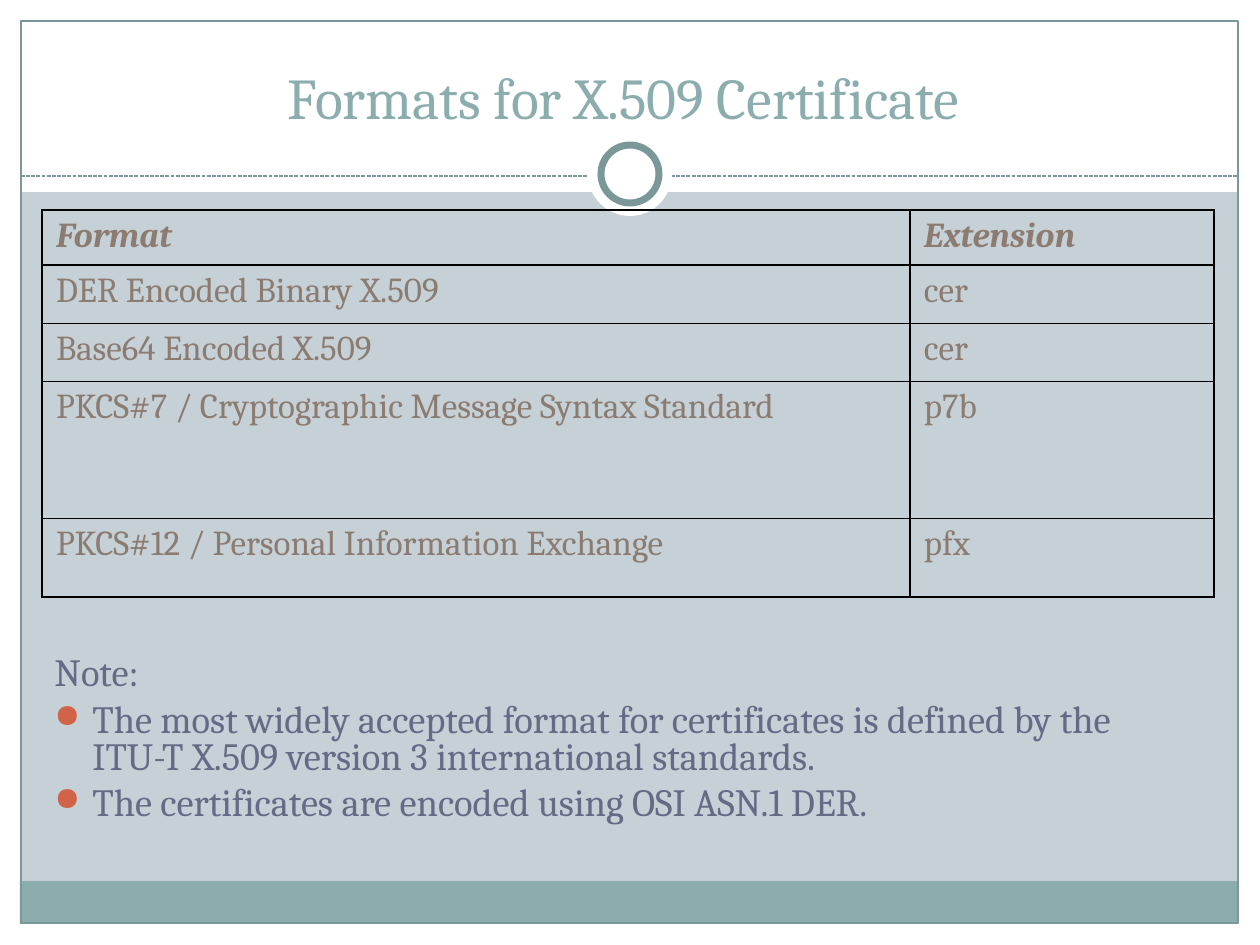
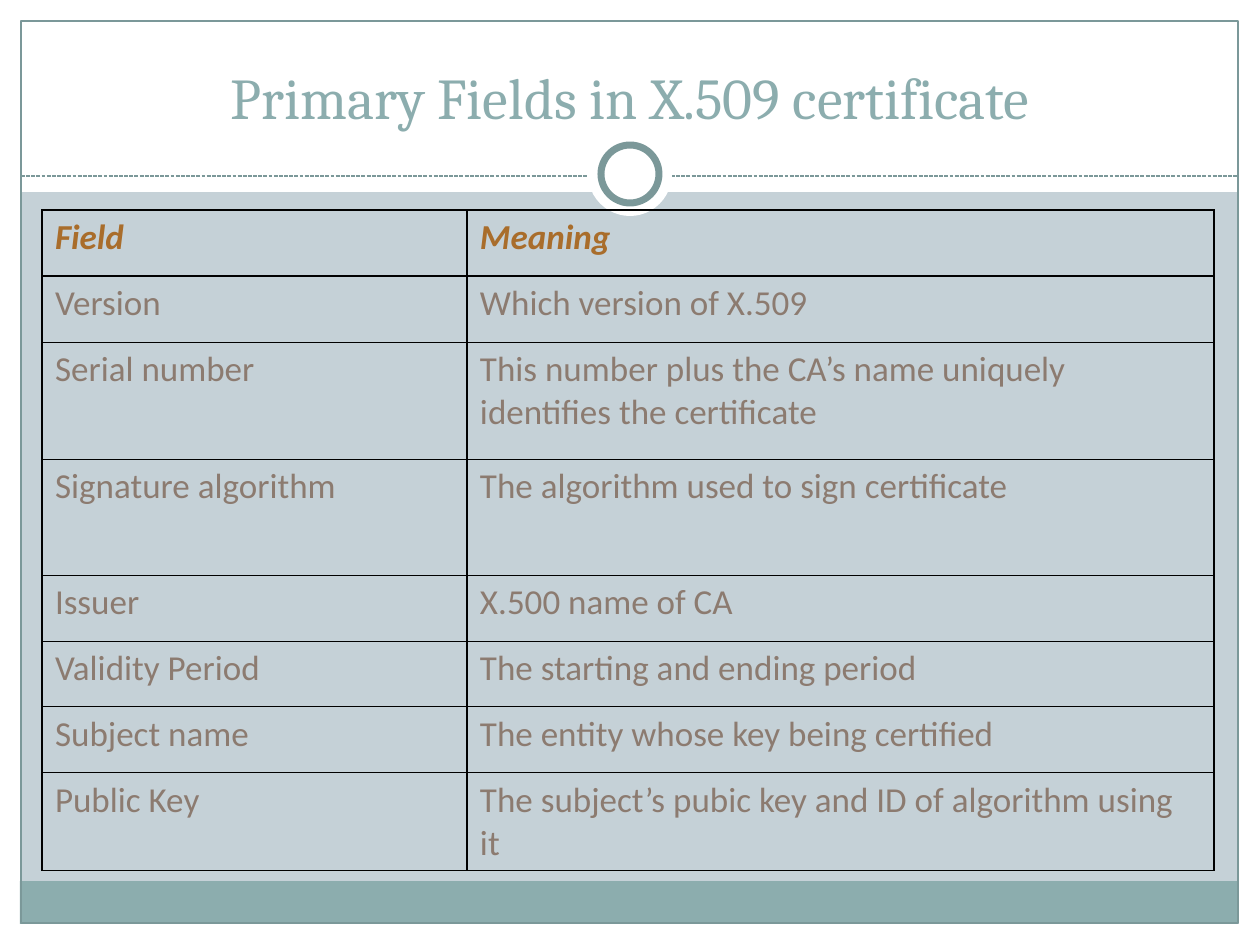
"""Build two slides on X.509 certificate formats and fields."""
from lxml.etree import SubElement
from pptx import Presentation
from pptx.dml.color import RGBColor
from pptx.enum.dml import MSO_LINE
from pptx.enum.shapes import MSO_CONNECTOR, MSO_SHAPE
from pptx.enum.text import MSO_ANCHOR, MSO_AUTO_SIZE, PP_ALIGN
from pptx.oxml.ns import qn
from pptx.util import Pt

PX = 914400 / 126
COLORS = {
    "background": "C5D1D7",
    "white": "FFFFFF",
    "teal": "8CADAE",
    "outline": "7B9899",
    "cell": "8C7B70",
    "field_header": "A96D2B",
    "note": "646B86",
    "bullet": "D16349",
    "border": "000000",
}


def px(*lengths):
    """Turn pixel lengths into EMU."""
    return [round(length * PX) for length in lengths]


def format_font(font, color, **values):
    """Set the colour and the given attributes of a font."""
    font.color.rgb = RGBColor.from_string(COLORS[color])
    for attribute, value in values.items():
        setattr(font, attribute, value)


prs = Presentation()
prs.slide_width, prs.slide_height = px(1260, 945)
layout = prs.slide_layouts[5]
layout.background.fill.solid()
layout.background.fill.fore_color.rgb = RGBColor.from_string(COLORS["background"])
for placeholder in list(layout.placeholders)[1:]:
    placeholder.element.getparent().remove(placeholder.element)

contents = [
    {
        "title": "Formats for X.509 Certificate ",
        "font": "Cambria",
        "header_color": "cell",
        "inset": 14,
        "columns": [868, 304],
        "row_heights": [55, 58, 58, 137, 79],
        "rows": [
            ("Format", "Extension"),
            ("DER Encoded Binary X.509", "cer"),
            ("Base64 Encoded X.509", "cer"),
            ("PKCS#7 / Cryptographic Message Syntax Standard", "p7b"),
            ("PKCS#12 / Personal Information Exchange", "pfx"),
        ],
    },
    {
        "title": "Primary Fields in X.509 certificate",
        "font": "Calibri",
        "header_color": "field_header",
        "inset": 13,
        "columns": [425, 747],
        "row_heights": [66, 66, 117, 116, 66, 66, 66, 97],
        "rows": [
            ("Field", "Meaning"),
            ("Version", "Which version of X.509"),
            ("Serial number", "This number plus the CA’s name uniquely identifies the certificate"),
            ("Signature algorithm", "The algorithm used to sign certificate"),
            ("Issuer", "X.500 name of CA"),
            ("Validity Period", "The starting and ending period"),
            ("Subject name", "The entity whose key being certified"),
            ("Public Key", "The subject’s pubic key and ID of algorithm using it"),
        ],
    },
]
slides = [prs.slides.add_slide(layout) for _ in contents]
formats_slide = slides[0]

decorations = [
    (MSO_SHAPE.RECTANGLE, (0, 924, 1260, 21), "white", None),
    (MSO_SHAPE.RECTANGLE, (0, 0, 1260, 192), "white", None),
    (MSO_SHAPE.RECTANGLE, (0, 0, 21, 945), "white", None),
    (MSO_SHAPE.RECTANGLE, (1239, 0, 21, 945), "white", None),
    (MSO_SHAPE.RECTANGLE, (20, 881, 1217, 43), "teal", None),
    (MSO_SHAPE.RECTANGLE, (21, 21, 1217, 902), None, 0.75),
    (None, (21, 176, 1239, 176), None, 0.75),
    (MSO_SHAPE.OVAL, (588, 132, 84, 84), "white", None),
    (MSO_SHAPE.OVAL, (601, 145, 58, 58), "white", 4),
]
for preset, place, fill, line_width in decorations:
    if preset is None:
        part = formats_slide.shapes.add_connector(MSO_CONNECTOR.STRAIGHT, *px(*place))
        part.line.dash_style = MSO_LINE.SQUARE_DOT
    else:
        part = formats_slide.shapes.add_shape(preset, *px(*place))
        part.shadow.inherit = False
        if fill:
            part.fill.solid()
            part.fill.fore_color.rgb = RGBColor.from_string(COLORS[fill])
        else:
            part.fill.background()
    if line_width:
        part.line.color.rgb = RGBColor.from_string(COLORS["outline"])
        part.line.width = Pt(line_width)
    else:
        part.line.fill.background()
    if preset is None:
        SubElement(part.element.spPr, qn("a:effectLst"))
    layout.shapes.element.append(part.element)

for slide, content in zip(slides, contents):
    title = slide.shapes.title
    title.left, title.top, title.width, title.height = px(42, 32, 1176, 105)
    title.text = content["title"]
    title.text_frame.auto_size = MSO_AUTO_SIZE.NONE
    title.text_frame.vertical_anchor = MSO_ANCHOR.BOTTOM
    heading = title.text_frame.paragraphs[0]
    heading.alignment = PP_ALIGN.CENTER
    format_font(heading.font, "teal", name="Cambria", size=Pt(33))

    rows, columns, heights = content["rows"], content["columns"], content["row_heights"]
    place = px(42, 210, sum(columns), sum(heights))
    table = slide.shapes.add_table(len(rows), len(columns), *place).table
    table.first_row = table.horz_banding = False
    for column, width in zip(table.columns, px(*columns)):
        column.width = width
    for row, height in zip(table.rows, px(*heights)):
        row.height = height

    for row_index, row in enumerate(rows):
        is_header = row_index == 0
        top_width = 1.08 if row_index < 2 else 0.45
        bottom_width = 1.08 if row_index in (0, len(rows) - 1) else 0.45
        borders = {"lnL": 1.08, "lnR": 1.08, "lnT": top_width, "lnB": bottom_width}
        for column_index, text in enumerate(row):
            cell = table.cell(row_index, column_index)
            cell.text = text
            cell.margin_left, cell.margin_right = px(content["inset"], content["inset"])
            cell.margin_top, cell.margin_bottom = px(6, 6)
            format_font(
                cell.text_frame.paragraphs[0].runs[0].font,
                content["header_color"] if is_header else "cell",
                name=content["font"], size=Pt(20), bold=is_header, italic=is_header,
            )
            properties = cell._tc.get_or_add_tcPr()
            for side, width in borders.items():
                border = SubElement(properties, qn(f"a:{side}"), w=str(Pt(width)))
                border_fill = SubElement(border, qn("a:solidFill"))
                SubElement(border_fill, qn("a:srgbClr"), val=COLORS["border"])
            cell.fill.background()

notes = [
    "Note:",
    "The most widely accepted format for certificates is defined by the "
    "ITU-T X.509 version 3 international standards.",
    "The certificates are encoded using OSI ASN.1 DER.",
]
note_frame = formats_slide.shapes.add_textbox(*px(42, 651, 1113, 220)).text_frame
note_frame.word_wrap = True
for index, text in enumerate(notes):
    note = note_frame.add_paragraph() if index else note_frame.paragraphs[0]
    note.line_spacing = 0.8
    if index:
        note.space_before = Pt(5.5)
        properties = note._p.get_or_add_pPr()
        indent = px(38)[0]
        properties.set("marL", str(indent))
        properties.set("indent", str(-indent))
        bullet_color = SubElement(properties, qn("a:buClr"))
        SubElement(bullet_color, qn("a:srgbClr"), val=COLORS["bullet"])
        SubElement(properties, qn("a:buSzPct"), val="85000")
        SubElement(properties, qn("a:buChar"), char="●")
    run = note.add_run()
    run.text = text
    format_font(run.font, "note", name="Cambria", size=Pt(22))

prs.save("out.pptx")
